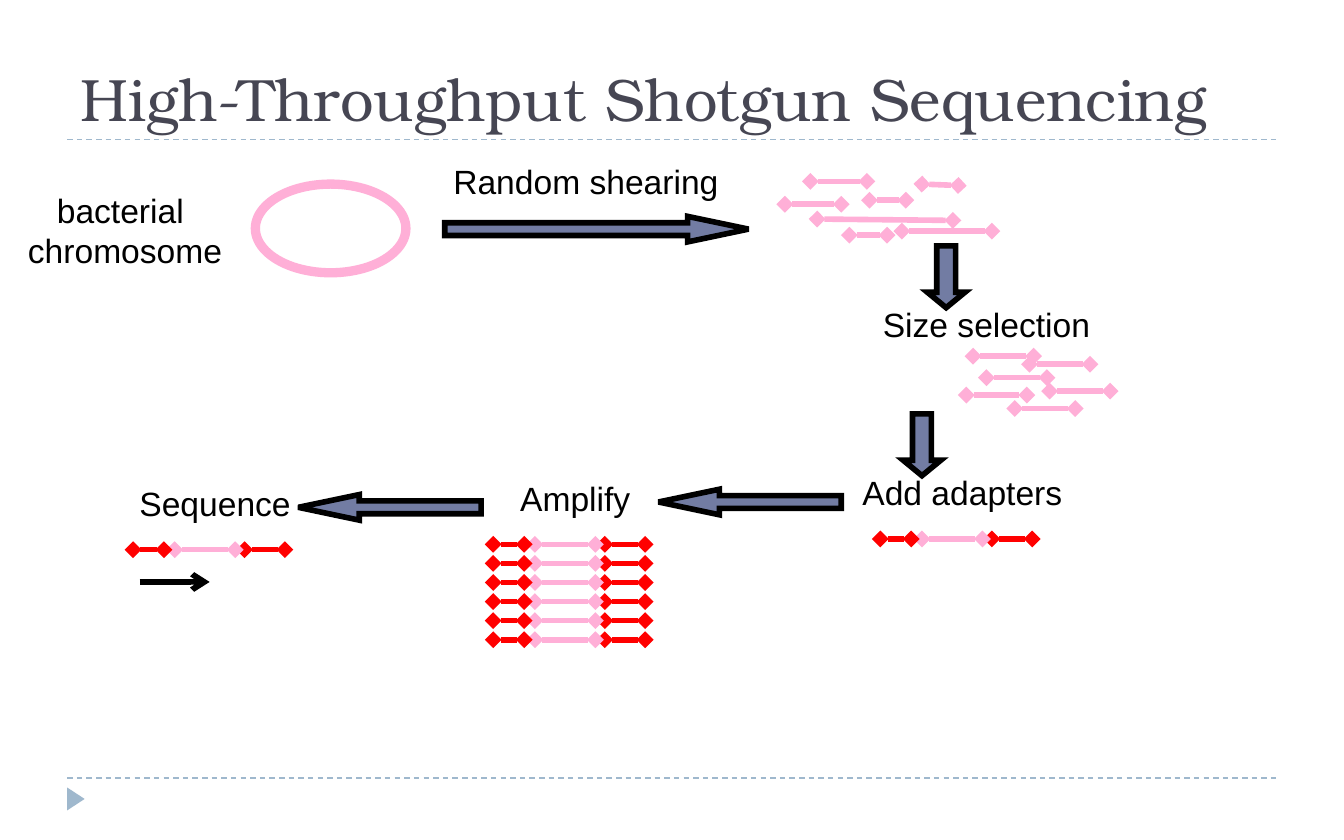
from dataclasses import dataclass

from lxml import etree
from pptx import Presentation
from pptx.dml.color import RGBColor as Rgb
from pptx.enum.dml import MSO_LINE as Dash
from pptx.enum.shapes import MSO_CONNECTOR as Link, MSO_SHAPE as Kind
from pptx.enum.text import MSO_ANCHOR as Anchor, PP_ALIGN as Align
from pptx.oxml.ns import qn
from pptx.util import Inches, Pt


@dataclass(frozen=True)
class Theme:
    ink: str = "000000"
    title: str = "464653"
    rule: str = "9FB8CD"
    arrow: str = "727CA3"
    dna: str = "FFAFD7"
    adapter: str = "FF0000"
    head: str = "TeX Gyre Bonum"
    body: str = "Arial"
    big: int = 32
    small: int = 18
    thin: float = 0.75
    bold: int = 3
    ring: int = 5


T = Theme()

# Ends of each fragment, as x1, y1, x2, y2 within its cluster
SHEARED = [
    (0.24, 0.28, 1.25, 0.29), (0.63, 0.14, 0.9, 0.14),
    (0.19, 0, 0.61, 0), (1.02, 0.02, 1.29, 0.03),
    (0.87, 0.37, 1.54, 0.37), (0.48, 0.4, 0.76, 0.4),
    (0, 0.17, 0.42, 0.17),
]
SIZED = [(0.05, 0), (0.15, 0.16), (0.47, 0.06), (0.62, 0.26), (0, 0.29), (0.36, 0.39)]
LENGTH = 0.45

# Right adapter, insert, left adapter: start, end, colour
PARTS = [(0.83, 1.13, T.adapter), (0.31, 0.76, T.dna), (0, 0.23, T.adapter)]


def stroke(line, color, width):
    line.color.rgb = Rgb.from_string(color)
    line.width = Pt(width)


def paint(shape, fill=None, line=None, width=T.bold):
    shape.shadow.inherit = False
    if fill:
        shape.fill.solid()
        shape.fill.fore_color.rgb = Rgb.from_string(fill)
    else:
        shape.fill.background()
    if line:
        stroke(shape.line, line, width)
        join = etree.SubElement(shape.line._get_or_add_ln(), qn("a:miter"))
        join.set("lim", "800000")
    else:
        shape.line.fill.background()


def add_line(slide, x1, y1, x2, y2, color, width=T.bold, head=None, tail=None):
    ends = [Inches(v) for v in (x1, y1, x2, y2)]
    line = slide.shapes.add_connector(Link.STRAIGHT, *ends)
    stroke(line.line, color, width)
    for tag, kind in (("a:headEnd", head), ("a:tailEnd", tail)):
        if kind:
            etree.SubElement(line.line._get_or_add_ln(), qn(tag)).set("type", kind)
    etree.SubElement(line._element.spPr, qn("a:effectLst"))
    return line


def add_shape(slide, kind, box, **look):
    shape = slide.shapes.add_shape(kind, *map(Inches, box))
    paint(shape, **look)
    return shape


def add_text(slide, box, lines, font, size, color, align, anchor, inset):
    frame = slide.shapes.add_textbox(*map(Inches, box)).text_frame
    side, edge = map(Inches, inset)
    values = {"word_wrap": True, "vertical_anchor": anchor,
              "margin_left": side, "margin_right": side,
              "margin_top": edge, "margin_bottom": edge}
    for name, value in values.items():
        setattr(frame, name, value)
    frame.text = "\n".join(lines)
    for para in frame.paragraphs:
        para.alignment = align
        run = para.runs[0].font
        for name, value in {"name": font, "size": Pt(size)}.items():
            setattr(run, name, value)
        run.color.rgb = Rgb.from_string(color)


def label(slide, x, y, *lines, w=1.72, h=0.33):
    add_text(slide, (x, y, w, h), lines, T.body, T.small, T.ink,
             Align.CENTER, Anchor.MIDDLE, (0, 0))


def side_arrow(slide, kind, x, y, w):
    arrow = add_shape(slide, kind, (x, y, w, 0.19), fill=T.arrow, line=T.ink)
    arrow.adjustments[1] = 2.384


def down_arrow(slide, x, y, w=0.28, h=0.46):
    neck = y + 0.75 * h
    left, right = x + w / 4, x + 3 * w / 4
    points = [(left, neck), (left, y), (right, y), (right, neck),
              (x + w, neck), (x + w / 2, y + h)]
    pen = slide.shapes.build_freeform(Inches(x), Inches(neck))
    pen.add_line_segments([(Inches(a), Inches(b)) for a, b in points], close=True)
    paint(pen.convert_to_shape(), fill=T.arrow, line=T.ink)


def fragment(slide, x1, y1, x2, y2, color=T.dna):
    add_line(slide, x1, y1, x2, y2, color, head="diamond", tail="diamond")


def cluster(slide, x, y, ends):
    for x1, y1, x2, y2 in ends:
        fragment(slide, x + x1, y + y1, x + x2, y + y2)


def library(slide, x, y, rows=1, gap=0.142):
    """Stack inserts that carry an adapter on both sides."""
    for row in range(rows):
        level = y + row * gap
        for start, end, color in PARTS:
            fragment(slide, x + start, level, x + end, level, color)


def frame(slide, x, y, w, h):
    """Draw the title between the two dashed rules and the corner mark."""
    for level in (y + h, 5.79):
        rule = add_line(slide, x, level, x + w, level, T.rule, T.thin)
        rule.line.dash_style = Dash.DASH
    mark = add_shape(slide, Kind.ISOSCELES_TRIANGLE, (0.48, 5.88, 0.17, 0.13), fill=T.rule)
    mark.rotation = 90
    add_text(slide, (x, y, w, h), ["High-Throughput Shotgun Sequencing"], T.head,
             T.big, T.title, Align.LEFT, Anchor.BOTTOM, (0.1, 0.05))


def shearing(slide, x, y):
    label(slide, x, y + 0.24, "bacterial ", "chromosome", h=0.58)
    add_shape(slide, Kind.OVAL, (x + 1.83, y + 0.19, 1.12, 0.66), line=T.dna, width=T.ring)
    label(slide, x + 3.06, y, "Random shearing", w=2.46)
    side_arrow(slide, Kind.RIGHT_ARROW, x + 3.24, y + 0.43, 2.26)
    cluster(slide, x + 5.77, y + 0.17, SHEARED)


def selection(slide, x, y):
    down_arrow(slide, x + 0.42, y)
    label(slide, x, y + 0.42, "Size selection")
    cluster(slide, x + 0.71, y + 0.82, [(a, b, a + LENGTH, b) for a, b in SIZED])


def adapters(slide, x, y):
    down_arrow(slide, x + 0.42, y)
    label(slide, x, y + 0.42, "Add adapters")
    library(slide, x + 0.25, y + 0.93)


def product(slide, x, y, name, rows=1):
    """Place a step with the arrow that leads into it from the right."""
    side_arrow(slide, Kind.LEFT_ARROW, x + 1.48, y + 0.1, 1.36)
    label(slide, x, y, name)
    library(slide, x + 0.25, y + 0.51, rows)


def main():
    deck = Presentation()
    deck.slide_width, deck.slide_height = Inches(10), Inches(6.25)
    slide = deck.slides.add_slide(deck.slide_layouts[6])
    frame(slide, 0.5, 0.14, 9, 0.9)
    shearing(slide, 0.07, 1.18)
    selection(slide, 6.48, 1.83)
    adapters(slide, 6.3, 3.08)
    product(slide, 3.42, 3.54, "Amplify", rows=6)
    product(slide, 0.74, 3.58, "Sequence")
    add_line(slide, 1.04, 4.33, 1.56, 4.33, T.ink, tail="arrow")
    deck.save("out.pptx")


if __name__ == "__main__":
    main()
